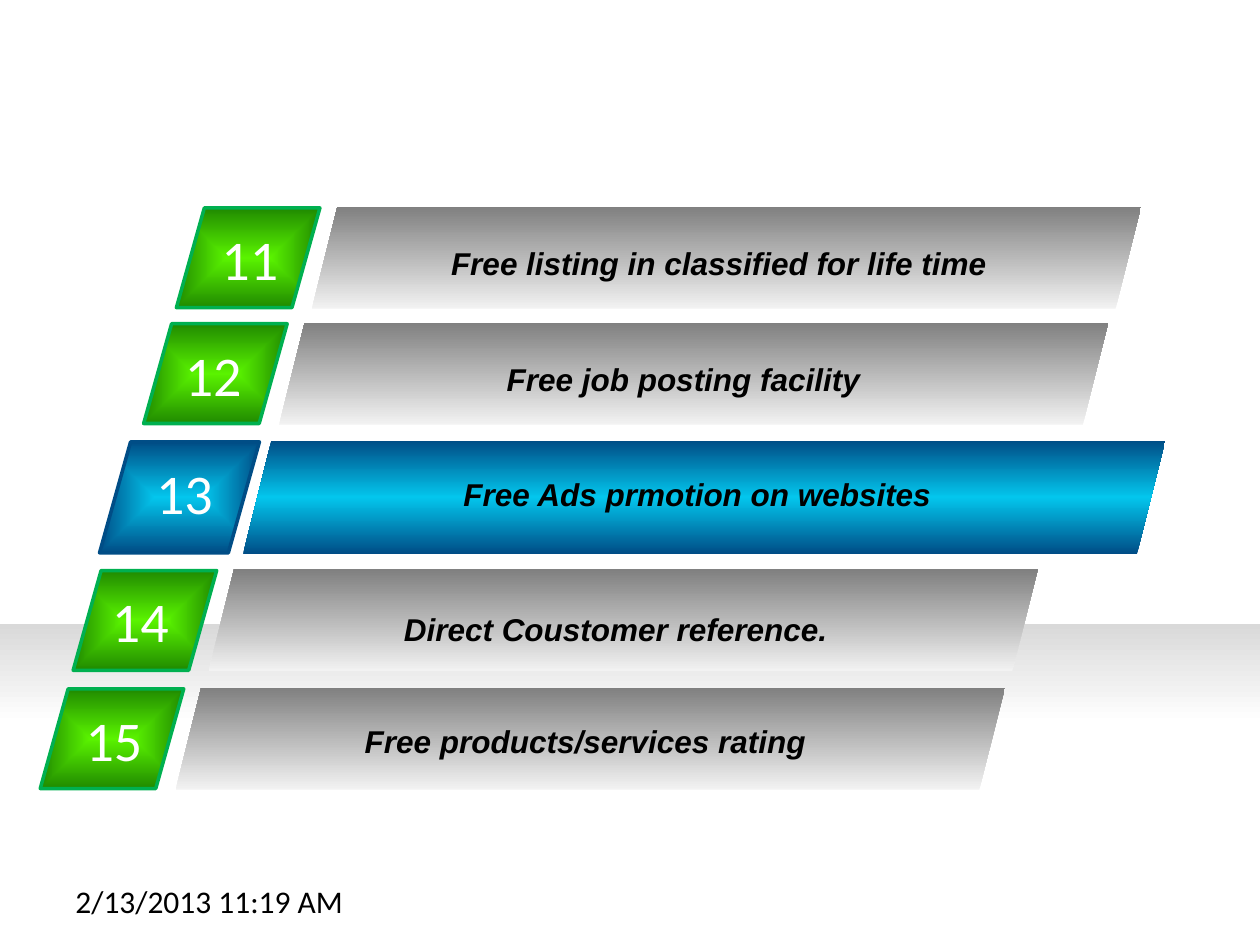
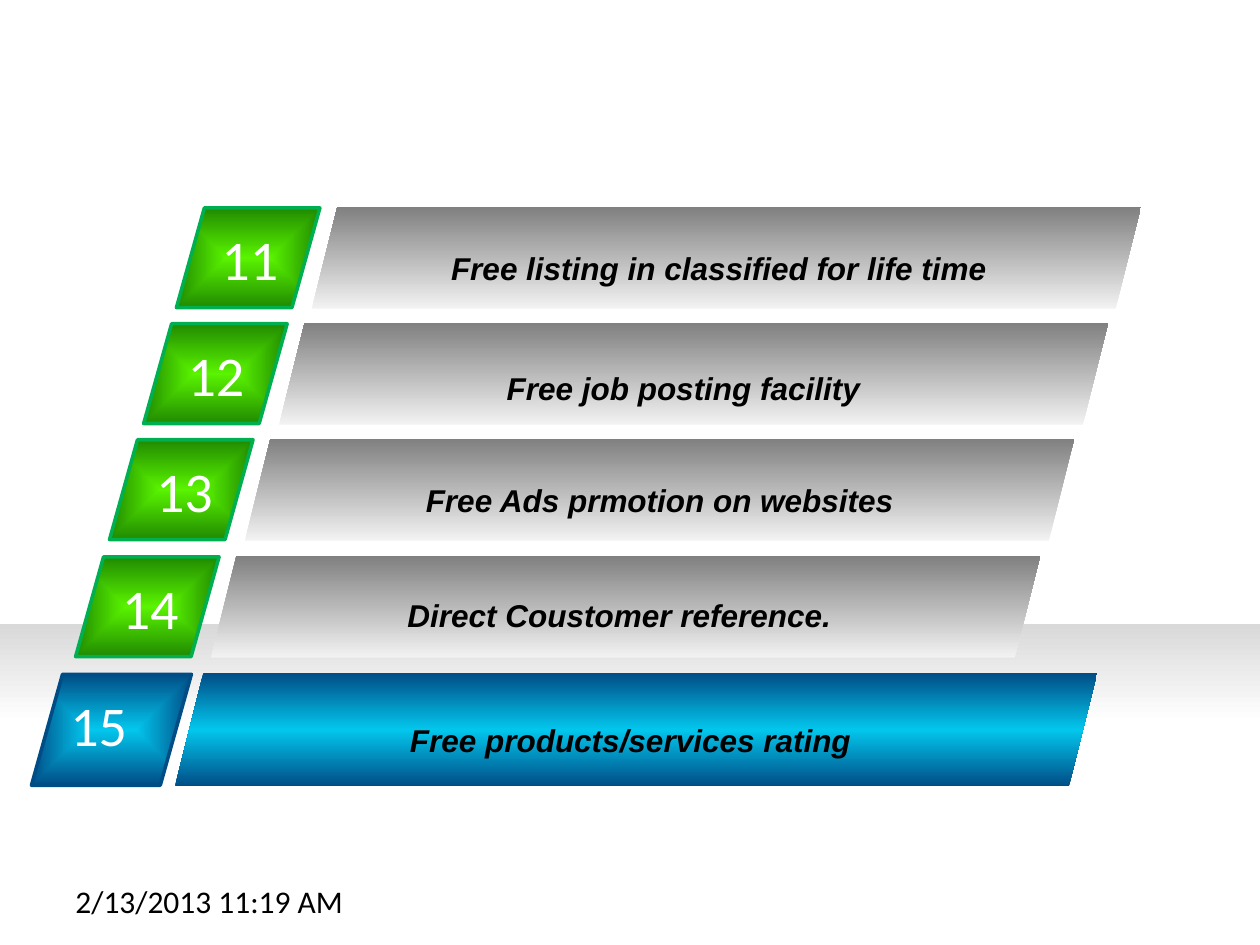
from lxml import etree
from pptx import Presentation
from pptx.dml.color import RGBColor
from pptx.enum import shapes, text
from pptx.oxml import ns
from pptx.util import Pt

HUES = {
    "white": "FFFFFF", "black": "000000", "mist": "D9D9D9",
    "pale": "F2F2F2", "gray": "808080",
    "lime": "5AF300", "leaf": "208A00", "edge": "00B050",
    "sky": "03C6ED", "navy": "004D86",
}
KINDS = {
    "plain": {
        "tile": (82, 57), "bar": (473.8, 58.3), "shift": 77.4, "label": 425.5,
        "glow": [(0, "lime"), (100, "leaf")], "edge": "edge",
        "fade": [(0, "pale"), (100, "gray")],
    },
    "key": {
        "tile": (91.4, 63.4), "bar": (527, 64.8), "shift": 82, "label": 473,
        "glow": [(0, "sky"), (100, "navy")], "edge": "navy",
        "fade": [(0, "navy"), (50, "sky"), (100, "navy")],
    },
}
LABELS = {
    11: "Free listing in classified for life time",
    12: "Free job posting facility",
    13: "Free Ads prmotion on websites",
    14: "Direct Coustomer reference.",
    15: "Free products/services rating",
}
# Per slide: the key row, then for each row the corner of its tile,
# the left of its number and the corner of its label.
SLIDES = [
    (13, {
        11: (100.8, 118.8, 119.5, 198, 136.1),
        12: (82.1, 185, 98.6, 177.8, 202.3),
        13: (56.9, 252.5, 82.1, 162, 267.8),
        14: (41.8, 326, 56.9, 139, 344.9),
        15: (23, 393.6, 41.8, 121.7, 409),
    }),
    (15, {
        11: (100.8, 118.8, 119.5, 198, 139),
        12: (82.1, 185, 100.1, 177.8, 207.4),
        13: (62.6, 251.3, 82.1, 164.2, 271.4),
        14: (43.2, 318.2, 62.6, 141.1, 337),
        15: (18, 385.3, 33.1, 123.8, 408.2),
    }),
]


def shade(shape, stops, glow=False):
    """Fill with colour stops, from bottom to top or from the centre out."""
    fill = etree.Element(ns.qn("a:gradFill"), rotWithShape="1")
    row = etree.SubElement(fill, ns.qn("a:gsLst"))
    for spot, hue in stops:
        stop = etree.SubElement(row, ns.qn("a:gs"), pos=str(spot * 1000))
        etree.SubElement(stop, ns.qn("a:srgbClr"), val=HUES[hue])
    if glow:
        way = etree.SubElement(fill, ns.qn("a:path"))
        way.set("path", "shape")
        sides = dict.fromkeys("ltrb", "50000")
        etree.SubElement(way, ns.qn("a:fillToRect"), sides)
    else:
        etree.SubElement(fill, ns.qn("a:lin"), ang="16200000", scaled="0")
    shape._element.spPr.find(ns.qn("a:prstGeom")).addnext(fill)


def add_form(home, kind, x, y, size, stops, glow=False):
    form = home.shapes.add_shape(kind, Pt(x), Pt(y), *map(Pt, size))
    form.shadow.inherit = False
    form.line.fill.background()
    shade(form, stops, glow)
    return form


def add_text(home, words, x, y, size, points, face, hue, bold=False):
    """Add a text box; bold text is also italic and centred."""
    box = home.shapes.add_textbox(Pt(x), Pt(y), *map(Pt, size))
    frame = box.text_frame
    frame.word_wrap = True
    frame.text = words
    para = frame.paragraphs[0]
    if bold:
        para.alignment = text.PP_ALIGN.CENTER
    font = para.runs[0].font
    font.size, font.name = Pt(points), face
    font.bold = font.italic = bold
    font.color.rgb = RGBColor.from_string(HUES[hue])


def add_tile(slide, num, kind, x, y, left):
    group = slide.shapes.add_group_shape()
    slant = shapes.MSO_SHAPE.PARALLELOGRAM
    tile = add_form(group, slant, x, y, kind["tile"], kind["glow"], True)
    tile.adjustments[0] = 0.28
    tile.line.color.rgb = RGBColor.from_string(HUES[kind["edge"]])
    tile.line.width = Pt(2)
    add_text(group, str(num), left, y + 5.8, (58, 46), 32, "Calibri", "white")


def add_row(slide, num, kind, spots):
    x, y, left, label_x, label_y = spots
    add_tile(slide, num, kind, x, y, left)
    add_form(slide, shapes.MSO_SHAPE.PARALLELOGRAM, x + kind["shift"], y - 0.7,
             kind["bar"], kind["fade"])
    add_text(slide, LABELS[num], label_x, label_y, (kind["label"], 29),
             18, "Arial", "black", True)


def add_base(deck):
    """Add a slide with the floor band and the date."""
    slide = deck.slides.add_slide(deck.slide_layouts[6])
    add_form(slide, shapes.MSO_SHAPE.RECTANGLE, 0, 356.4, (720, 145.4),
             [(61, "white"), (100, "mist")])
    add_text(slide, "2/13/2013 11:19 AM", 36, 500.4, (168, 29),
             18, "Calibri", "black")
    return slide


def main():
    deck = Presentation()
    deck.slide_width, deck.slide_height = Pt(720), Pt(540)
    for key, rows in SLIDES:
        slide = add_base(deck)
        for num, spots in rows.items():
            kind = KINDS["key" if num == key else "plain"]
            add_row(slide, num, kind, spots)
    deck.save("out.pptx")


if __name__ == "__main__":
    main()
